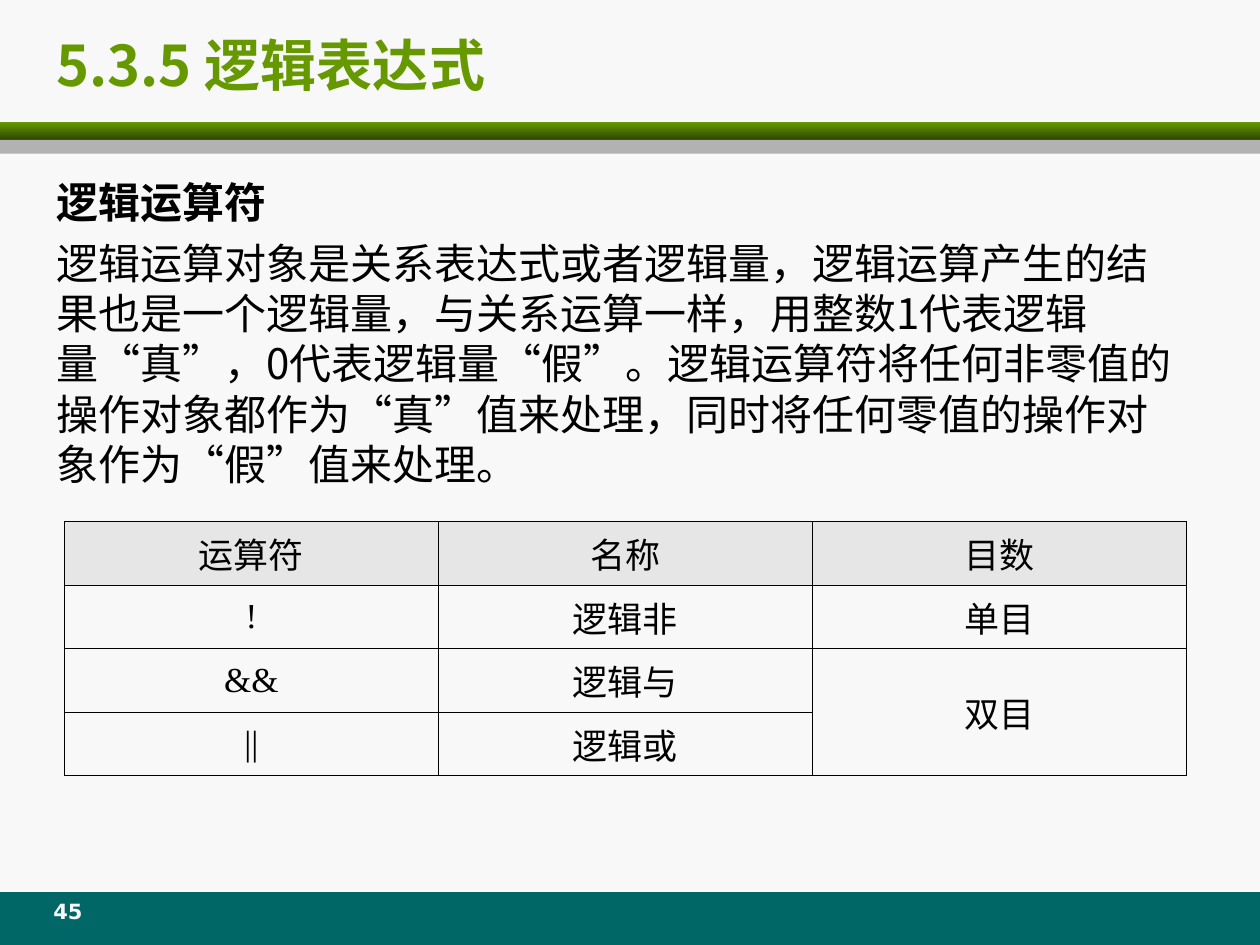
from dataclasses import dataclass

from lxml.etree import SubElement
from pptx import Presentation
from pptx.dml.color import RGBColor
from pptx.enum.shapes import MSO_SHAPE
from pptx.enum.text import MSO_ANCHOR, PP_ALIGN
from pptx.oxml import parse_xml
from pptx.oxml.ns import nsdecls, qn
from pptx.util import Inches, Pt

WIDE, HIGH = Inches(10), Inches(7.5)


@dataclass(frozen=True)
class Theme:
    page: str = "F8F8F8"
    green: str = "669900"
    dark: str = "2F4600"
    gray: str = "B2B2B2"
    teal: str = "006666"
    head: str = "E6E6E6"
    ink: str = "000000"
    sans: str = "Noto Sans CJK SC"
    serif: str = "Times New Roman"
    digit: str = "DejaVu Sans"
    title: int = 32
    body: int = 24
    cell: int = 20
    note: int = 12
    lead: float = 28.8
    gap: int = 6
    rule: float = 0.45


LOOK = Theme()

ROWS = [
    ["运算符", "名称", "目数"],
    ["!", "逻辑非", "单目"],
    ["&&", "逻辑与", "双目"],
    ["||", "逻辑或", ""],
]
PROSE = (
    "逻辑运算对象是关系表达式或者逻辑量，逻辑运算产生的结果也是一个逻辑量，"
    "与关系运算一样，用整数1代表逻辑量“真”，0代表逻辑量“假”。"
    "逻辑运算符将任何非零值的操作对象都作为“真”值来处理，"
    "同时将任何零值的操作对象作为“假”值来处理。"
)


def color(code):
    return RGBColor.from_string(code)


def place(left, top, width, height):
    return [int(side * part / 100) for side, part in
            zip((WIDE, HIGH, WIDE, HIGH), (left, top, width, height))]


def style(para, size, ink, face=LOOK.sans, bold=False):
    for run in para.runs:
        font = run.font
        font.size, font.bold, font.name = Pt(size), bold, face
        font.color.rgb = color(ink)
        SubElement(font._element, qn("a:ea")).set("typeface", LOOK.sans)


def add_band(slide, top, height, *tones):
    band = slide.shapes.add_shape(MSO_SHAPE.RECTANGLE, *place(0, top, 100, height))
    band.shadow.inherit = False
    band.line.fill.background()
    if len(tones) == 1:
        band.fill.solid()
        band.fill.fore_color.rgb = color(tones[0])
        return
    band.fill.gradient()
    band.fill.gradient_angle = 270
    for stop, tone in zip(band.fill.gradient_stops, tones):
        stop.color.rgb = color(tone)


def add_text(slide, area, lines, anchor=MSO_ANCHOR.TOP):
    frame = slide.shapes.add_textbox(*place(*area)).text_frame
    frame.word_wrap = True
    frame.vertical_anchor = anchor
    frame.text = "\n".join(lines)
    return frame.paragraphs


def add_rules(cell):
    props = cell._tc.get_or_add_tcPr()
    for spot, side in enumerate("LRTB"):
        props.insert(spot, parse_xml(
            f'<a:ln{side} {nsdecls("a")} w="{Pt(LOOK.rule)}"><a:solidFill>'
            f'<a:srgbClr val="{LOOK.ink}"/></a:solidFill></a:ln{side}>'))


def add_grid(slide, area, rows):
    table = slide.shapes.add_table(len(rows), len(rows[0]), *place(*area)).table
    table.first_row = table.horz_banding = False
    for r, row in enumerate(rows):
        for c, word in enumerate(row):
            cell = table.cell(r, c)
            if r == 0:
                cell.fill.solid()
                cell.fill.fore_color.rgb = color(LOOK.head)
            else:
                cell.fill.background()
            add_rules(cell)
            cell.vertical_anchor = MSO_ANCHOR.MIDDLE
            cell.text = word
            para = cell.text_frame.paragraphs[0]
            para.alignment = PP_ALIGN.CENTER
            style(para, LOOK.cell, LOOK.ink, LOOK.serif)
    table.cell(2, 2).merge(table.cell(3, 2))


def main():
    deck = Presentation()
    deck.slide_width, deck.slide_height = WIDE, HIGH
    slide = deck.slides.add_slide(deck.slide_layouts[6])
    slide.background.fill.solid()
    slide.background.fill.fore_color.rgb = color(LOOK.page)

    add_band(slide, 94.4, 5.6, LOOK.teal)
    add_band(slide, 12.93, 1.87, LOOK.green, LOOK.dark)
    add_band(slide, 14.8, 1.47, LOOK.gray)

    title = add_text(slide, (3.5, 2.8, 87.2, 7.87), ["5.3.5 逻辑表达式"], MSO_ANCHOR.MIDDLE)
    style(title[0], LOOK.title, LOOK.green, bold=True)

    topic, prose = add_text(slide, (3.5, 18, 90.6, 75.4), ["逻辑运算符", PROSE])
    style(topic, LOOK.body, LOOK.ink, bold=True)
    style(prose, LOOK.body, LOOK.ink)
    topic.line_spacing = prose.line_spacing = Pt(LOOK.lead)
    prose.space_before = Pt(LOOK.gap)

    add_grid(slide, (5.1, 55.2, 89.1, 26.9), ROWS)

    page = add_text(slide, (2.5, 94.4, 5.8, 4.4), ["45"])[0]
    page.alignment = PP_ALIGN.CENTER
    style(page, LOOK.note, LOOK.page, LOOK.digit, True)

    deck.save("out.pptx")


if __name__ == "__main__":
    main()
